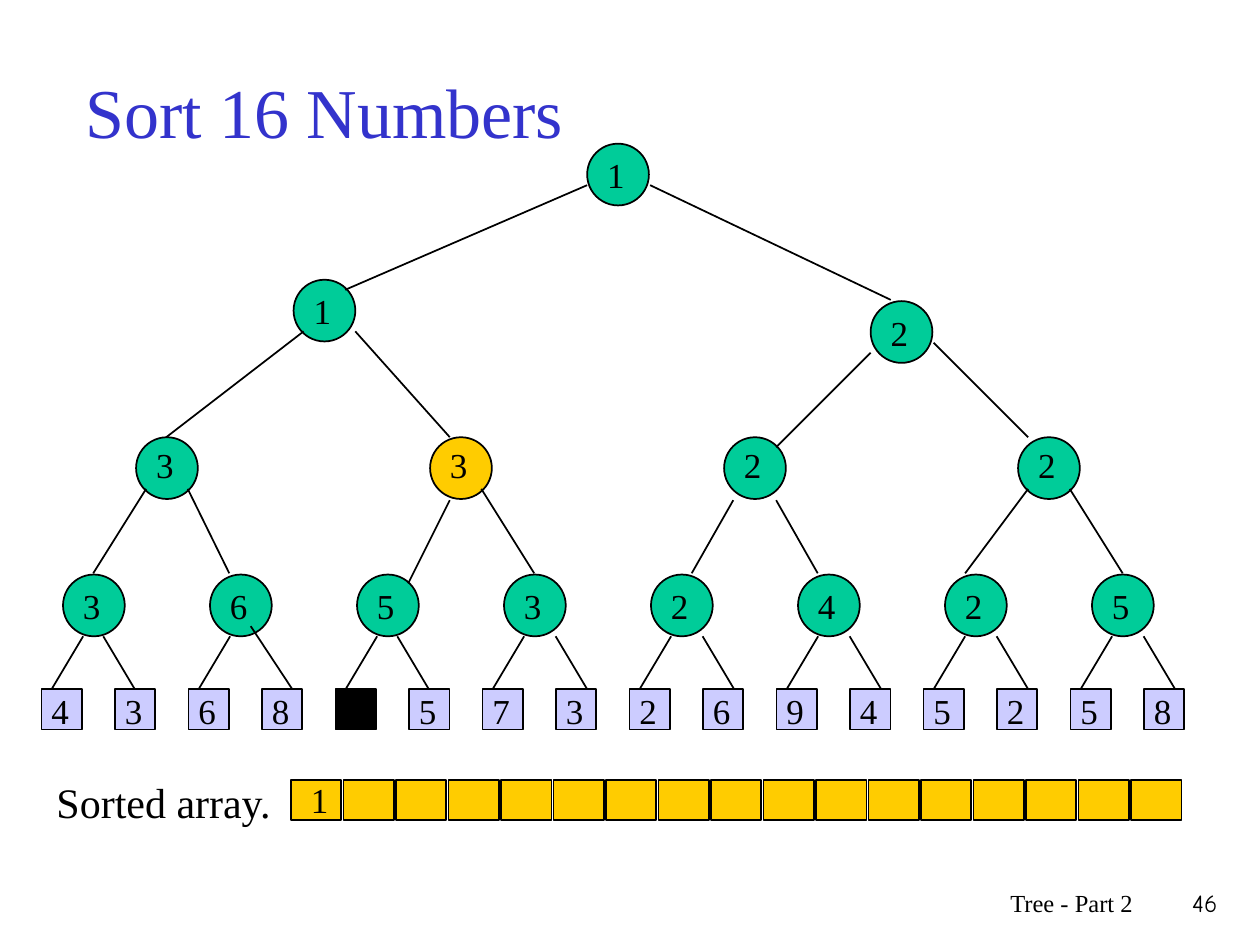
import pptx
import pptx.dml.color
import pptx.enum.shapes
import pptx.enum.text
import pptx.oxml
import pptx.util

Inches = pptx.util.Inches
SHAPE = pptx.enum.shapes.MSO_SHAPE
ANCHOR = pptx.enum.text.MSO_ANCHOR
ALIGN = pptx.enum.text.PP_ALIGN
FIT = pptx.enum.text.MSO_AUTO_SIZE

SERIF = "Times New Roman"
BLACK, BLUE, GREEN, GOLD, LILAC = "000000", "3333CC", "00CC99", "FFCC00", "CCCCFF"
NODE, BOX = 0.49, 0.32
LEAF_GAP, PAIR_GAP, QUAD_GAP, SLOT_GAP = 7 / 12, 7 / 6, 7 / 3, 5 / 12

LEAVES = "4368 57326945258"  # the blank leaf has left the tree
SLOTS = 17
NODES = (
    [(0.5 + i * PAIR_GAP, 4.56, n, GREEN) for i, n in enumerate("36532425")]
    + [(1.08 + i * QUAD_GAP, 3.47, n, GOLD if i == 1 else GREEN)
       for i, n in enumerate("3322")]
    + [(2.33, 2.22, "1", GREEN), (6.91, 2.39, "2", GREEN), (4.66, 1.14, "1", GREEN)]
)
EDGES = [
    (4.66, 1.47, 2.74, 2.3), (5.16, 1.47, 7.07, 2.38),
    (2.41, 2.63, 1.32, 3.47), (2.82, 2.63, 3.57, 3.47),
    (6.91, 2.8, 6.16, 3.55), (7.41, 2.72, 8.16, 3.47),
    (1.16, 3.88, 0.74, 4.55), (1.49, 3.88, 1.82, 4.55),
    (3.57, 3.97, 3.24, 4.63), (3.82, 3.88, 4.24, 4.55),
    (5.82, 3.97, 5.49, 4.55), (6.16, 3.97, 6.49, 4.55),
    (8.16, 3.88, 7.66, 4.55), (8.49, 3.88, 8.91, 4.55),
]


def color(code):
    return pptx.dml.color.RGBColor.from_string(code)


def apply(target, values):
    for name, value in values.items():
        setattr(target, name, value)


def add_text(slide, place, text, size=20, font=SERIF, ink=BLACK, align=ALIGN.LEFT, **frame):
    box = slide.shapes.add_textbox(*map(Inches, place))
    apply(box.text_frame, {"word_wrap": True, **frame})
    para = box.text_frame.paragraphs[0]
    para.text = text
    para.alignment = align
    apply(para.font, {"size": pptx.util.Pt(size), "name": font})
    para.font.color.rgb = color(ink)


def add_digit(slide, left, top, text):
    add_text(slide, (left, top, 0.34, 0.43), text,
             word_wrap=False, auto_size=FIT.SHAPE_TO_FIT_TEXT)


def add_block(slide, kind, place, fill):
    block = slide.shapes.add_shape(kind, *map(Inches, place))
    block.shadow.inherit = False
    block.fill.solid()
    block.fill.fore_color.rgb = color(fill)
    block.line.color.rgb = color(BLACK)
    block.line.width = pptx.util.Pt(1)


def add_edge(slide, ends):
    edge = slide.shapes.add_connector(
        pptx.enum.shapes.MSO_CONNECTOR.STRAIGHT, *map(Inches, ends))
    edge.line.color.rgb = color(BLACK)
    edge.line.width = pptx.util.Pt(1)
    props = edge._element.spPr
    props.append(pptx.oxml.parse_xml(
        '<a:effectLst xmlns:a="http://schemas.openxmlformats.org/drawingml/2006/main"/>'))


def leaf_edges():
    """Give the two edges below each node of the lowest level."""
    for i in range(8):
        left = 0.66 + i * PAIR_GAP
        yield left, 5.05, left - 0.25, 5.47
        if i == 1:
            yield 1.99, 4.97, 2.32, 5.47
        else:
            right = left + (0.16 if i < 3 else 0.25)
            yield right, 5.05, right + 0.25, 5.47


def add_tree(slide):
    for i, text in enumerate(LEAVES):
        left = 0.33 + i * LEAF_GAP
        add_block(slide, SHAPE.RECTANGLE, (left, 5.47, BOX, BOX),
                  BLACK if text == " " else LILAC)
        if text != " ":
            add_digit(slide, left - 0.02, 5.42, text)
    for left, top, text, fill in NODES:
        add_block(slide, SHAPE.OVAL, (left, top, NODE, NODE), fill)
        drop = 0 if top == 3.47 else 0.03
        add_digit(slide, left + 0.06, top + drop, text)
    for ends in [*EDGES, *leaf_edges()]:
        add_edge(slide, ends)


def add_array(slide):
    for i in range(SLOTS):
        add_block(slide, SHAPE.RECTANGLE, (2.31 + i * SLOT_GAP, 6.19, 0.4, BOX), GOLD)
    add_text(slide, (0.35, 6.11, 2.06, 0.5), "Sorted array.", 24,
             auto_size=FIT.SHAPE_TO_FIT_TEXT)
    add_digit(slide, 2.37, 6.13, "1")


def main():
    deck = pptx.Presentation()
    apply(deck, {"slide_width": Inches(10), "slide_height": Inches(7.5)})
    slide = deck.slides.add_slide(deck.slide_layouts[6])
    add_text(slide, (0.58, 0.25, 8.5, 1.25), "Sort 16 Numbers", 40, ink=BLUE,
             vertical_anchor=ANCHOR.MIDDLE)
    add_tree(slide)
    add_array(slide)
    add_text(slide, (5.92, 7, 3.17, 0.5), "Tree - Part 2", 14, align=ALIGN.RIGHT)
    add_text(slide, (9.08, 7, 0.68, 0.5), "46", 14, "Comic Neue", align=ALIGN.RIGHT)
    deck.save("out.pptx")


if __name__ == "__main__":
    main()
